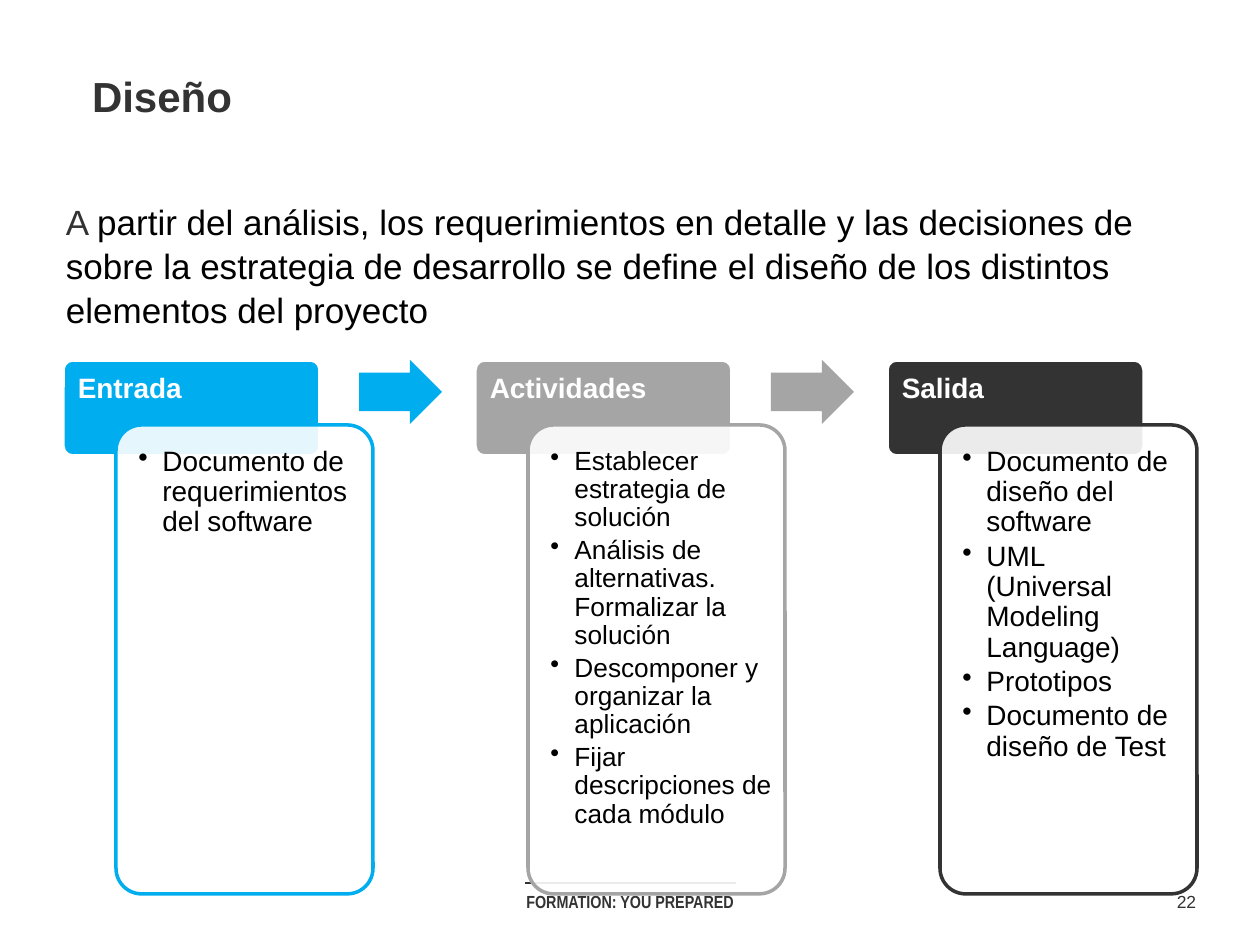
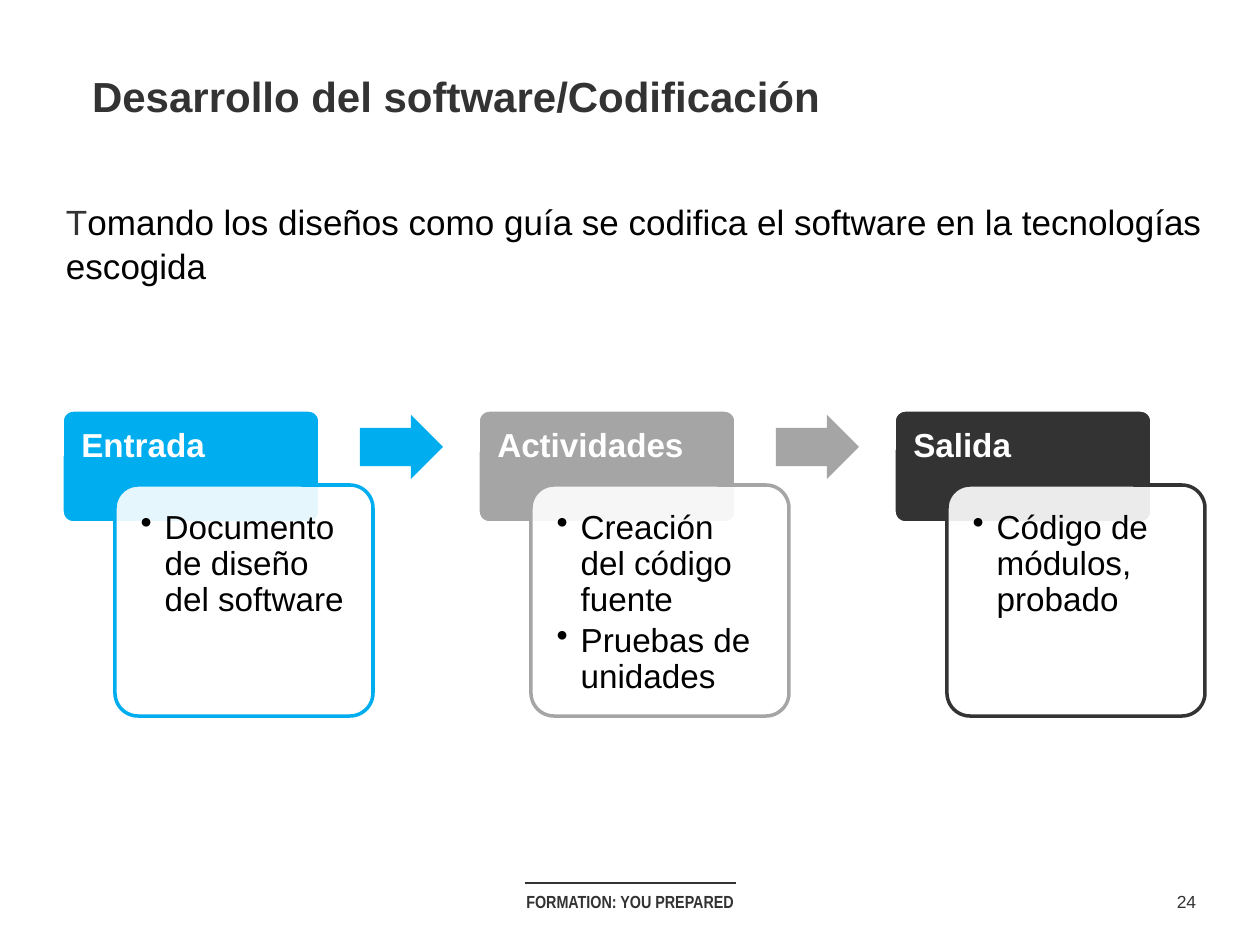
from lxml.etree import SubElement
from pptx import Presentation
from pptx.dml.color import RGBColor
from pptx.enum.shapes import MSO_CONNECTOR, MSO_SHAPE
from pptx.enum.text import MSO_ANCHOR, MSO_AUTO_SIZE, PP_ALIGN
from pptx.oxml.ns import qn
from pptx.util import Emu, Pt

SCALE = 914400 / 126  # EMU in one px
BLUE, GRAY, DARK = "00ADEF", "A5A5A5", "333333"
WHITE, BLACK = "FFFFFF", "000000"
FOOTER = "FORMATION: YOU PREPARED"


def px(length):
    return Emu(round(length * SCALE))


def color(hex_value):
    return RGBColor.from_string(hex_value)


class Deck:
    """Holds the shared style and the slide being built."""

    def __init__(self):
        self.prs = Presentation()
        self.prs.slide_width, self.prs.slide_height = px(1260), px(945)
        self.slide = None

    # Text
    def frame(self, shape, insets, anchor=MSO_ANCHOR.TOP):
        frame = shape.text_frame
        frame.word_wrap = True
        frame.auto_size = MSO_AUTO_SIZE.NONE
        frame.vertical_anchor = anchor
        (frame.margin_left, frame.margin_top,
         frame.margin_right, frame.margin_bottom) = map(px, insets)
        return frame

    def paragraph(self, frame, runs, size, bold=False, font="Arial", spacing=1.0,
                  before=0, align=PP_ALIGN.LEFT, bullet=None, indent=0):
        first = not frame.paragraphs[0].runs
        para = frame.paragraphs[0] if first else frame.add_paragraph()
        props = para._p.get_or_add_pPr()
        props.set("marL", str(px(indent)))
        props.set("indent", str(px(-indent)))
        if bullet:
            SubElement(props, qn("a:buChar"), char=bullet)
        else:
            SubElement(props, qn("a:buNone"))
        para.alignment = align
        para.line_spacing = spacing
        para.space_before = Pt(0 if first else before)
        for text, hex_value in runs:
            run = para.add_run()
            run.text = text
            run.font.name, run.font.size, run.font.bold = font, Pt(size), bold
            run.font.color.rgb = color(hex_value)

    def place(self, shape, left, top, width, height):
        shape.left, shape.top = px(left), px(top)
        shape.width, shape.height = px(width), px(height)

    def label(self, text, box, **style):
        holder = self.slide.shapes.add_textbox(*map(px, box))
        self.paragraph(self.frame(holder, (13, 6, 13, 6)), [(text, DARK)], 10,
                       align=PP_ALIGN.CENTER, **style)

    # Shapes
    def shape(self, kind, box, fill, line=None, opacity=100, adjustments=(0.1,)):
        shape = self.slide.shapes.add_shape(kind, *map(px, box))
        shape.shadow.inherit = False
        for index, value in enumerate(adjustments):
            shape.adjustments[index] = value
        shape.fill.solid()
        shape.fill.fore_color.rgb = color(fill)
        if opacity < 100:
            tint = shape._element.spPr.find(qn("a:solidFill"))[0]
            SubElement(tint, qn("a:alpha"), val=str(opacity * 1000))
        if line:
            shape.line.color.rgb = color(line)
            shape.line.width = Pt(2)
        else:
            shape.line.fill.background()
        return shape

    def rule(self, left, right, y):
        rule = self.slide.shapes.add_connector(
            MSO_CONNECTOR.STRAIGHT, px(left), px(y), px(right), px(y))
        rule.line.color.rgb = color(DARK)
        rule.line.width = Pt(0.75)
        SubElement(rule._element.spPr, qn("a:effectLst"))

    # Slide parts
    def start(self, heading, intro, intro_height, number):
        self.slide = self.prs.slides.add_slide(self.prs.slide_layouts[1])
        title, body = self.slide.placeholders
        self.place(title, 79, 57, 1102, 77)
        self.paragraph(self.frame(title, (13, 13, 13, 13), MSO_ANCHOR.BOTTOM),
                       [(heading, DARK)], 24, bold=True)
        self.place(body, 53, 192, 1173, intro_height)
        self.paragraph(self.frame(body, (13, 6, 13, 6)), intro, 20, spacing=1.05)
        self.rule(525, 736, 883)
        self.label(FOOTER, (462, 885, 336, 34), bold=True, font="Arial Narrow")
        self.label(str(number), (1163, 885, 47, 34))

    def stage(self, left, accent, heading, items, item_size, right_inset, flow):
        header = self.shape(MSO_SHAPE.ROUNDED_RECTANGLE,
                            (left, flow["top"], flow["width"], flow["header_height"]),
                            accent, WHITE)
        inset = flow["inset"]
        self.paragraph(self.frame(header, (inset - 3,) * 4), [(heading, WHITE)],
                       flow["size"], bold=True, spacing=0.9)
        card = self.shape(MSO_SHAPE.ROUNDED_RECTANGLE,
                          (left + 53, flow["card_top"], flow["width"], flow["card_height"]),
                          WHITE, accent, opacity=90)
        frame = self.frame(card, (inset, inset, right_inset, inset))
        for item in items:
            self.paragraph(frame, [(item, BLACK)], item_size, spacing=0.9,
                           before=flow["gap"], bullet="•", indent=24)

    def process(self, stages, flow):
        for index, (heading, accent, items, *special) in enumerate(stages):
            left = flow["left"] + index * flow["pitch"]
            item_size, right_inset = special or (flow["size"], flow["inset"])
            self.stage(left, accent, heading, items, item_size, right_inset, flow)
            if index < len(stages) - 1:
                self.shape(MSO_SHAPE.RIGHT_ARROW,
                           (left + flow["arrow_offset"], flow["arrow_top"], 83, 64),
                           accent, adjustments=(0.6, 0.5))


def main():
    deck = Deck()

    # Design phase
    deck.start("Diseño",
               [("A ", DARK),
                ("partir del análisis, los requerimientos en detalle y las decisiones de "
                 "sobre la estrategia de desarrollo se define el diseño de los distintos "
                 "elementos del proyecto", BLACK)], 140, 22)
    deck.process(
        [("Entrada", BLUE, ["Documento de requerimientos del software"]),
         ("Actividades", GRAY, ["Establecer estrategia de solución",
                                "Análisis de alternativas. Formalizar la solución",
                                "Descomponer y organizar la aplicación",
                                "Fijar descripciones de cada módulo"], 15, 0),
         ("Salida", DARK, ["Documento de diseño del software",
                           "UML (Universal Modeling Language)",
                           "Prototipos",
                           "Documento de diseño de Test"])],
        dict(left=63, pitch=412, top=360, width=257, header_height=96, card_top=425,
             card_height=469, arrow_offset=296, arrow_top=360, size=16, inset=15, gap=2.4))

    # Coding phase
    deck.start("Desarrollo del software/Codificación",
               [("T", DARK),
                ("omando los diseños como guía se codifica el software en la tecnologías "
                 "escogida", BLACK)], 97, 24)
    deck.process(
        [("Entrada", BLUE, ["Documento de diseño del software"]),
         ("Actividades", GRAY, ["Creación del código fuente", "Pruebas de unidades"]),
         ("Salida", DARK, ["Código de módulos, probado"])],
        dict(left=62, pitch=416, top=410, width=258, header_height=113, card_top=485,
             card_height=231, arrow_offset=298, arrow_top=415, size=19, inset=19, gap=2.9))

    deck.prs.save("out.pptx")


if __name__ == "__main__":
    main()
